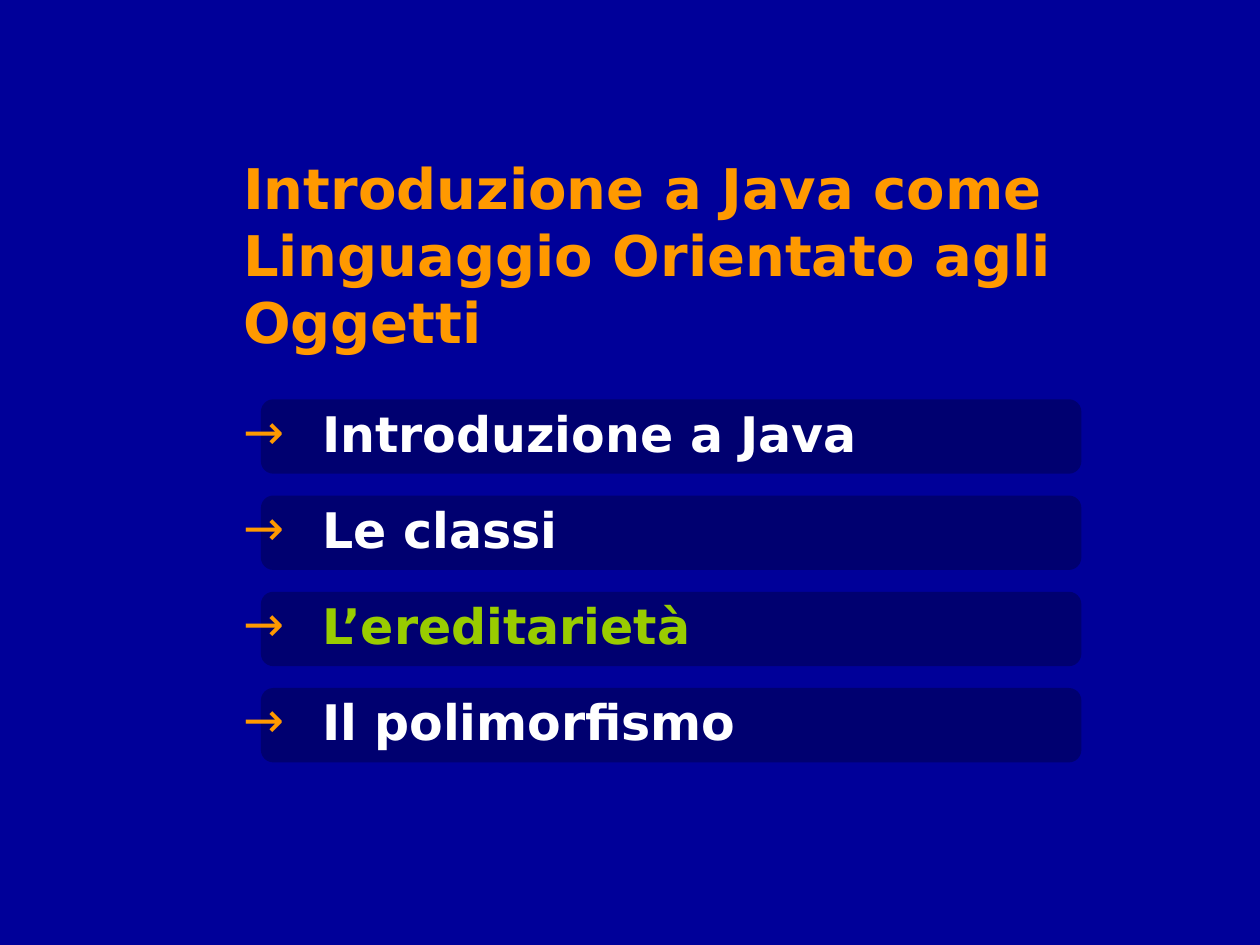
from lxml import etree
from pptx import Presentation
from pptx.dml.color import RGBColor
from pptx.enum.shapes import MSO_SHAPE
from pptx.enum.text import MSO_ANCHOR, PP_ALIGN
from pptx.oxml.ns import qn
from pptx.util import Cm, Pt

ROUND = MSO_SHAPE.ROUNDED_RECTANGLE
TOP = MSO_ANCHOR.TOP
LEFT = PP_ALIGN.LEFT

BLUE = RGBColor(0x00, 0x00, 0x99)
NAVY = RGBColor(0x00, 0x00, 0x48)
ORANGE = RGBColor(0xFF, 0x99, 0x00)
WHITE = RGBColor(0xFF, 0xFF, 0xFF)
GREEN = RGBColor(0x99, 0xCC, 0x00)
BLACK = RGBColor(0x00, 0x00, 0x00)
FONT = "DejaVu Sans"


def node(parent, tag, **attrs):
    return etree.SubElement(parent, qn(tag), attrs)


class Deck:
    def __init__(self):
        self.prs = Presentation()
        self.prs.slide_width, self.prs.slide_height = Cm(25.4), Cm(19.05)
        self.slide = self.prs.slides.add_slide(self.prs.slide_layouts[6])
        fill = self.slide.background.fill
        fill.solid()
        fill.fore_color.rgb = BLUE

    def text(self, shapes, words, top, width, height, size, color):
        box = shapes.add_textbox(Cm(4.65), Cm(top), Cm(width), Cm(height))
        frame = box.text_frame
        frame.word_wrap = True
        frame.vertical_anchor = TOP
        para = frame.paragraphs[0]
        para.alignment = LEFT
        font = para.font
        font.name, font.size, font.bold = FONT, Pt(size), True
        font.color.rgb = color
        run = para.add_run()
        run.text = words
        # Soft drop shadow behind the letters
        effect = node(run.font._element, "a:effectLst")
        shadow = node(effect, "a:outerShdw", dist="35921", dir="2700000")
        node(shadow, "a:srgbClr", val=str(BLACK))
        return para

    def bar(self, shapes, top):
        bar = shapes.add_shape(ROUND, Cm(5.26), Cm(top), Cm(16.54), Cm(1.5))
        bar.adjustments[0] = 0.167
        bar.shadow.inherit = False
        bar.line.fill.background()
        bar.fill.solid()
        bar.fill.fore_color.rgb = NAVY
        tint = bar.fill._xPr.find(".//" + qn("a:srgbClr"))
        node(tint, "a:alpha", val="50000")

    def bullet(self, para):
        para.space_before = Pt(17.5)
        props = para._p.get_or_add_pPr()
        props.set("marL", str(Cm(1.6)))
        props.set("indent", str(-Cm(1.6)))
        tint = etree.Element(qn("a:buClr"))
        node(tint, "a:srgbClr", val=str(ORANGE))
        face = etree.Element(qn("a:buFont"), typeface=FONT)
        mark = etree.Element(qn("a:buChar"), char="→")
        base = props.find(qn("a:defRPr"))
        for part in (tint, face, mark):
            base.addprevious(part)

    def item(self, words, top, color):
        shapes = self.slide.shapes.add_group_shape().shapes
        self.bar(shapes, top)
        para = self.text(shapes, words, top - 0.05, 19.25, 1.45, 28, color)
        self.bullet(para)


def main():
    deck = Deck()

    # Title
    deck.text(deck.slide.shapes,
              "Introduzione a Java come Linguaggio Orientato agli Oggetti",
              2.97, 18.21, 4.32, 32, ORANGE)

    # Agenda, with the current topic in green
    topics = [("Introduzione a Java", WHITE), ("Le classi", WHITE),
              ("L’ereditarietà", GREEN), ("Il polimorfismo", WHITE)]
    for row, (words, color) in enumerate(topics):
        deck.item(words, 8.05 + row * 1.94, color)

    deck.prs.save("out.pptx")


if __name__ == "__main__":
    main()
